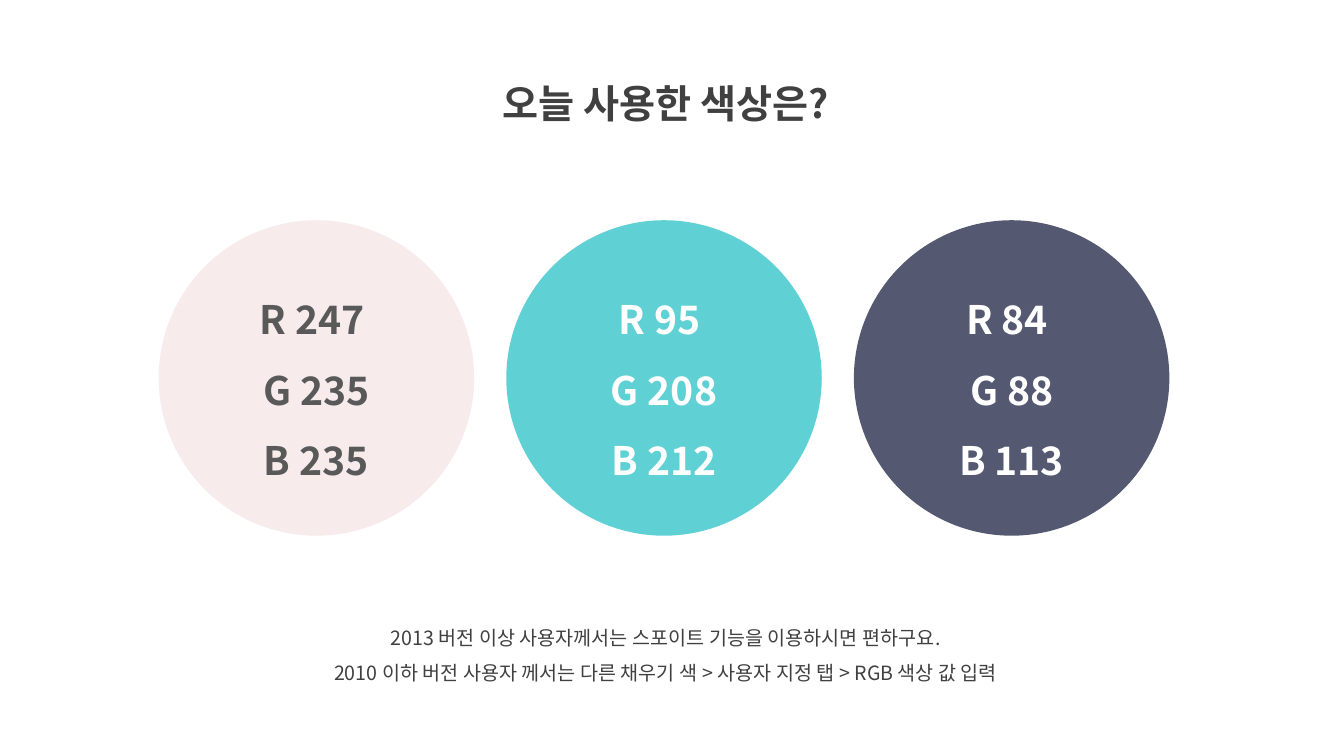
from dataclasses import dataclass

from lxml import etree
from pptx import Presentation
from pptx import util as u
from pptx.dml.color import RGBColor
from pptx.enum import shapes, text
from pptx.oxml import ns


@dataclass(frozen=True)
class Theme:
    """Colours, font and type sizes of the slide."""
    font: str = "Noto Sans CJK KR"
    ink: tuple = (64, 64, 64)
    on_light: tuple = (89, 89, 89)
    on_dark: tuple = (255, 255, 255)
    pink: tuple = (247, 235, 235)
    teal: tuple = (95, 208, 212)
    navy: tuple = (84, 88, 113)
    heading: int = 28
    body: int = 14
    spacing: float = 1.5


THEME = Theme()


def write_text(frame, lines, *, size, color, bold=False):
    """Write centred lines into a text frame with one format."""
    frame.word_wrap = True
    for index, line in enumerate(lines):
        paragraph = frame.paragraphs[0] if index == 0 else frame.add_paragraph()
        paragraph.alignment = text.PP_ALIGN.CENTER
        paragraph.line_spacing = THEME.spacing
        run = paragraph.add_run()
        run.text = line
        run.font.name = THEME.font
        run.font.size = u.Pt(size)
        run.font.bold = bold
        run.font.color.rgb = RGBColor(*color)
        east_asian = etree.SubElement(run.font._element, ns.qn("a:ea"))
        east_asian.set("typeface", THEME.font)


def add_caption(slide, box, lines, **text_format):
    """Add a text box that grows with its text."""
    frame = slide.shapes.add_textbox(*map(u.Cm, box)).text_frame
    write_text(frame, lines, **text_format)
    frame.auto_size = text.MSO_AUTO_SIZE.SHAPE_TO_FIT_TEXT


def add_swatch(slide, left, top, diameter, rgb, text_color):
    """Add a filled circle that states its own RGB values."""
    swatch = slide.shapes.add_shape(
        shapes.MSO_SHAPE.OVAL, *map(u.Cm, (left, top, diameter, diameter)))
    swatch.shadow.inherit = False
    swatch.fill.solid()
    swatch.fill.fore_color.rgb = RGBColor(*rgb)
    swatch.line.fill.background()
    swatch.text_frame.vertical_anchor = text.MSO_ANCHOR.MIDDLE
    red, green, blue = rgb
    write_text(swatch.text_frame, [f"R {red} ", f"G {green}", f"B {blue}"],
               size=THEME.heading, color=text_color, bold=True)


def main():
    """Build the colour palette slide and save it."""
    deck = Presentation()
    deck.slide_width, deck.slide_height = u.Cm(33.87), u.Cm(19.05)
    slide = deck.slides.add_slide(deck.slide_layouts[6])

    add_caption(slide, (10.9, 1.27, 11.76, 1.83), ["오늘 사용한 색상은?"],
                size=THEME.heading, color=THEME.ink, bold=True)
    add_caption(slide, (6.63, 15.34, 20.29, 2.06), [
        "2013 버전 이상 사용자께서는 스포이트 기능을 이용하시면 편하구요.",
        "2010 이하 버전 사용자 께서는 다른 채우기 색 > 사용자 지정 탭 > RGB 색상 값 입력",
    ], size=THEME.body, color=THEME.ink)

    first_left, top, diameter, pitch = 4, 5.55, 7.95, 8.76
    palette = [(THEME.pink, THEME.on_light), (THEME.teal, THEME.on_dark),
               (THEME.navy, THEME.on_dark)]
    for column, (rgb, text_color) in enumerate(palette):
        add_swatch(slide, first_left + column * pitch, top, diameter, rgb, text_color)

    deck.save("out.pptx")


main()
